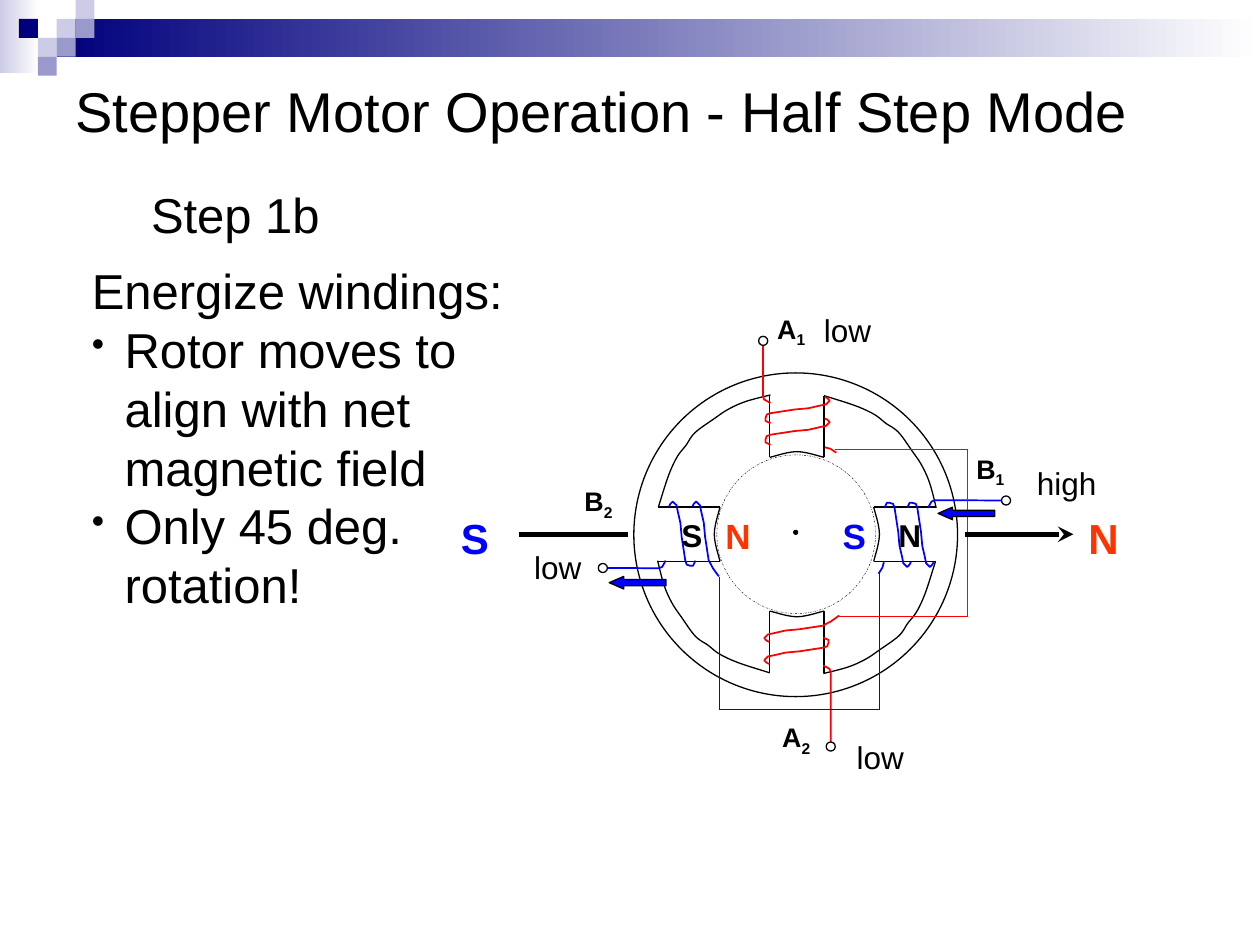
from dataclasses import dataclass
from itertools import pairwise

from lxml.etree import SubElement
from pptx import Presentation
from pptx.dml.color import RGBColor
from pptx.enum.dml import MSO_LINE_DASH_STYLE as Dash
from pptx.enum.shapes import MSO_CONNECTOR as Connector, MSO_SHAPE as Shape
from pptx.enum.text import MSO_ANCHOR as Anchor
from pptx.oxml.ns import qn
from pptx.util import Pt


@dataclass(frozen=True)
class Theme:
    font: str = "Arial"
    black: str = "000000"
    white: str = "FFFFFF"
    navy: str = "00007D"
    lilac: str = "9999CC"
    pale: str = "CCCCE6"
    red: str = "FF0000"
    orange: str = "FF3300"
    blue: str = "0000FF"
    title: float = 32
    body: float = 28
    field: float = 24
    rotor: float = 20
    level: float = 18
    winding: float = 15.3
    thin: float = 0.75
    wire: float = 1


THEME = Theme()
CENTRE = (455.4, 305.3)

# Outlines in points from the motor centre; coil parts are (radius, offset) on the right pole
RIM = [(15.5, -79.2), (33.5, -73.4), (44.3, -68.4), (50.8, -63.4), (58, -58.3),
       (65.9, -47.5), (71.6, -38.9), (76, -28.8), (79.6, -15.1)]
POLE_FACE = [(-15.5, -43.9), (0, -47.2), (15.5, -43.9)]
TURN = [(0, -15.1), (1.4, -18), (2.9, -18), (5, -17.3), (5.8, -15.1), (7.2, -5.8),
        (7.9, -1.4), (8.6, 6.5), (10.1, 13), (10.8, 16.6), (13, 18.7), (14.4, 17.3), (15.1, 15.8)]
LEAD_TURN = [(0, -24.1), (2.2, -21.2), (3.6, -19.1), (4.7, -16.9)] + TURN[4:]
TERMINAL_BEND = [(79, -19.4), (77, -18.7), (76, -17), (75, -15.1)]
INNER_EXIT = [(49.7, 16), (48.8, 19.2), (46.6, 22.5)]
TERMINAL_OFFSET = -19.3


def color(value):
    return RGBColor.from_string(value)


def rotate(points, quarters):
    """Turn points clockwise by quarter turns and place them on the motor."""
    for _ in range(quarters):
        points = [(-y, x) for x, y in points]
    return [(CENTRE[0] + x, CENTRE[1] + y) for x, y in points]


def smooth_curve(points, steps=6):
    """Sample a Catmull-Rom curve through the points."""
    padded = [points[0], *points, points[-1]]
    curve = [points[0]]
    for a, b, c, d in zip(padded, padded[1:], padded[2:], padded[3:]):
        for step in range(1, steps + 1):
            t = step / steps
            curve.append(tuple(
                q + t / 2 * (r - p + t * (2 * p - 5 * q + 4 * r - s + t * (3 * (q - r) + s - p)))
                for p, q, r, s in zip(a, b, c, d)))
    return curve


def write_text(paragraph, text, size, fill=THEME.black, bold=False, subscript=False):
    run = paragraph.add_run()
    run.text = text
    run.font.name, run.font.size, run.font.bold = THEME.font, Pt(size), bold
    run.font.color.rgb = color(fill)
    if subscript:
        run._r.get_or_add_rPr().set("baseline", "-25000")


class SlideBuilder:
    def __init__(self, slide, theme):
        self.slide, self.theme = slide, theme

    def outline(self, shape, line, width):
        shape.line.color.rgb = color(line)
        shape.line.width = Pt(width)

    def shape(self, kind, left, top, width, height, fill=None, line=None, weight=THEME.thin):
        shape = self.slide.shapes.add_shape(kind, Pt(left), Pt(top), Pt(width), Pt(height))
        shape.shadow.inherit = False
        if fill:
            shape.fill.solid()
            shape.fill.fore_color.rgb = color(fill)
        else:
            shape.fill.background()
        if line:
            self.outline(shape, line, weight)
        else:
            shape.line.fill.background()
        return shape

    def gradient(self, left, top, width, height, start):
        shape = self.shape(Shape.RECTANGLE, left, top, width, height)
        shape.fill.gradient()
        shape.fill.gradient_angle = 0
        for stop, value in zip(shape.fill.gradient_stops, (start, self.theme.white)):
            stop.color.rgb = color(value)

    def circle(self, centre, diameter, **style):
        left, top = (value - diameter / 2 for value in centre)
        return self.shape(Shape.OVAL, left, top, diameter, diameter, **style)

    def line(self, start, end, fill=THEME.black, width=THEME.thin, arrow=False):
        ends = [Pt(value) for value in (*start, *end)]
        connector = self.slide.shapes.add_connector(Connector.STRAIGHT, *ends)
        self.outline(connector, fill, width)
        if arrow:
            SubElement(connector.line._get_or_add_ln(), qn("a:tailEnd"), type="stealth")
        SubElement(connector._element.spPr, qn("a:effectLst"))

    def path_line(self, points, fill=THEME.black, width=THEME.thin):
        first, *rest = [(Pt(x), Pt(y)) for x, y in points]
        builder = self.slide.shapes.build_freeform(*first)
        builder.add_line_segments(rest, close=False)
        shape = builder.convert_to_shape()
        shape.shadow.inherit = False
        shape.fill.background()
        self.outline(shape, fill, width)

    def text(self, left, top, width, height, text, size, subscript="", wrap=True, **style):
        box = self.slide.shapes.add_textbox(Pt(left), Pt(top), Pt(width), Pt(height))
        frame = box.text_frame
        frame.word_wrap = wrap
        write_text(frame.paragraphs[0], text, size, **style)
        if subscript:
            write_text(frame.paragraphs[0], subscript, size, subscript=True, **style)
        return frame

    def bullet(self, frame, text, size):
        paragraph = frame.add_paragraph()
        properties = paragraph._p.get_or_add_pPr()
        properties.set("marL", str(Pt(18.7)))
        properties.set("indent", str(Pt(-18.7)))
        SubElement(properties, qn("a:buSzPct"), val="75000")
        SubElement(properties, qn("a:buChar"), char="•")
        write_text(paragraph, text, size)

    def coil(self, quarter, fill, reach, turns):
        for radius, profile in turns:
            self.path_line(rotate([(radius + r, t) for r, t in profile], quarter),
                           fill, self.theme.wire)
        tail = [(reach, TERMINAL_OFFSET), *TERMINAL_BEND]
        self.path_line(rotate(tail, quarter), fill, self.theme.wire)


def main():
    presentation = Presentation()
    presentation.slide_width, presentation.slide_height = Pt(720), Pt(540)
    slide = presentation.slides.add_slide(presentation.slide_layouts[6])
    theme = THEME
    build = SlideBuilder(slide, theme)

    # Header band and checker squares
    build.gradient(0, 0, 22.3, 41.8, theme.pale)
    build.gradient(32.4, 10.8, 687.6, 21.6, theme.navy)
    for column, row, fill in [(2, 1, theme.pale), (3, 0, theme.pale), (3, 1, theme.lilac),
                              (1, 2, theme.pale), (0, 1, theme.navy), (2, 2, theme.lilac),
                              (1, 3, theme.lilac)]:
        build.shape(Shape.RECTANGLE, 10.8 * (column + 1), 10.8 * row, 10.8, 10.8, fill)

    # Stator: housing, poles and rim segments
    build.circle((454.7, 305.6), 185, fill=theme.white, line=theme.black)
    for quarter in range(4):
        for side in (-15.5, 15.5):
            build.line(*rotate([(side, -79.2), (side, -43.9)], quarter))
        build.path_line(rotate(smooth_curve(POLE_FACE), quarter))
        build.path_line(rotate(smooth_curve(RIM), quarter))

    # Windings: quarter, colour, terminal radius, turns
    coils = [(0, theme.blue, 119.5, [(63, TURN), (50, TURN)]),
             (1, theme.red, 121.3, [(46.4, LEAD_TURN), (59, TURN)]),
             (2, theme.blue, 110.9, [(44.6, LEAD_TURN), (58, TURN)]),
             (3, theme.red, 110.5, [(63.4, TURN), (51.1, TURN)])]
    for coil in coils:
        build.coil(*coil)
    for quarter, fill in ((0, theme.blue), (3, theme.red)):
        build.path_line(rotate(INNER_EXIT, quarter), fill, theme.wire)
    for fill, corners in [
            (theme.red, [(477.4, 257), (553, 257), (553, 352.4), (479.5, 352.4)]),
            (theme.blue, [(502.6, 327.6), (502.6, 405.4), (411.1, 405.4), (411.1, 329.8)])]:
        for start, end in pairwise(corners):
            build.line(start, end, fill)
    for quarter, _, reach, _ in coils:
        build.circle(rotate([(reach, TERMINAL_OFFSET)], quarter)[0], 5.2,
                     fill=theme.white, line=theme.black)

    # Winding and pole labels
    for left, top, letter, number in [(437, 175, "A", "1"), (550.8, 254.9, "B", "1"),
                                      (439.9, 408.2, "A", "2"), (326.9, 273.6, "B", "2")]:
        build.text(left, top, 41.8, 29.5, letter, theme.winding, number, bold=True)
    for left, letter in ((506.2, "N"), (382.3, "S")):
        build.text(left, 291.2, 41.8, 29.5, letter, theme.level, bold=True)

    # Net field axis, shaft and rotor
    build.line((551.5, 305.3), (613.4, 305.3), width=3, arrow=True)
    build.line((296.6, 305.3), (358.6, 305.3), width=3)
    build.circle((454.7, 304.2), 2.2, fill=theme.black, line=theme.black)
    rotor = build.circle((455, 305.3), 90.7, line=theme.black, weight=0.25)
    rotor.line.dash_style = Dash.DASH_DOT

    # Title and signal levels
    title = build.text(36, 36, 648, 54, "Stepper Motor Operation - Half Step Mode", theme.title)
    title.vertical_anchor = Anchor.MIDDLE
    for left, top, width, level in [(482.4, 418.3, 44, "low"), (463.7, 174.2, 44, "low"),
                                    (298.1, 309.6, 44, "low"), (585.4, 261.4, 54, "high")]:
        build.text(left, top, width, 28.8, level, theme.level)

    # Current direction arrows
    for left, top in ((536, 289.8), (348.1, 329.4)):
        arrow = build.shape(Shape.LEFT_ARROW, left, top, 32.4, 7.2, theme.blue, theme.black)
        arrow.adjustments[0], arrow.adjustments[1] = 0.5, 1.16

    # Field and rotor polarity
    for left, top, letter, size, fill in [
            (614.9, 289.4, "N", theme.field, theme.orange),
            (256.3, 289.4, "S", theme.field, theme.blue),
            (407.5, 290.2, "N", theme.rotor, theme.orange),
            (474.5, 290.2, "S", theme.rotor, theme.blue)]:
        build.text(left, top, 36, 36, letter, size, fill=fill, bold=True)

    # Step description
    build.text(79.2, 102.2, 120, 41, "Step 1b", theme.body)
    body = build.text(45.4, 145.4, 252, 208.8, "Energize windings:", theme.body)
    for point in ("Rotor moves to align with net magnetic field", "Only 45 deg. rotation!"):
        build.bullet(body, point, theme.body)

    presentation.save("out.pptx")


if __name__ == "__main__":
    main()
